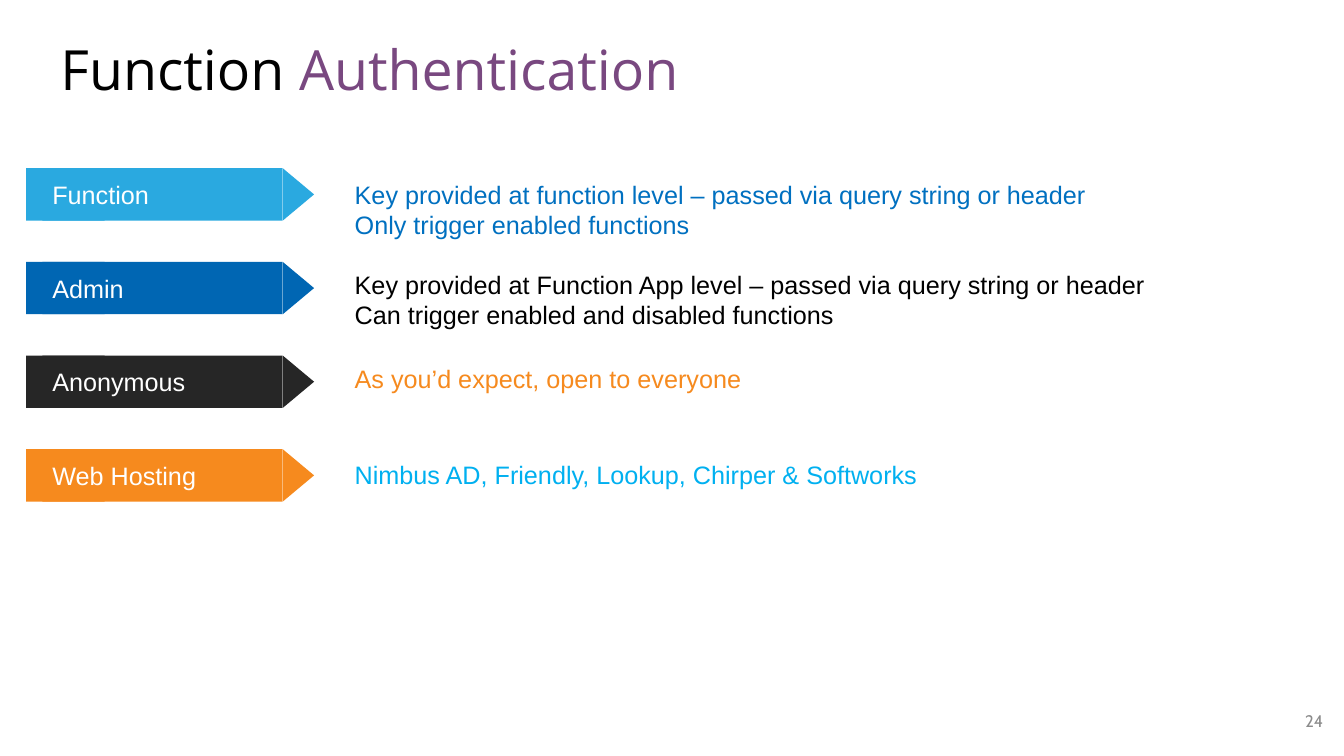
import pptx
import pptx.dml.color
import pptx.enum.shapes
import pptx.enum.text
import pptx.util

Cm = pptx.util.Cm
Shapes = pptx.enum.shapes.MSO_SHAPE
Align = pptx.enum.text.PP_ALIGN
Anchor = pptx.enum.text.MSO_ANCHOR
AutoSize = pptx.enum.text.MSO_AUTO_SIZE

COLORS = {
    "black": "000000",
    "white": "FFFFFF",
    "purple": "794880",
    "sky": "2AA9E0",
    "blue": "0066B3",
    "charcoal": "262626",
    "orange": "F68A1E",
    "text_blue": "0070C0",
    "text_cyan": "00B0F0",
    "gray": "8C8C8C",
}

LEVELS = [
    ("Function", "sky", "text_blue", 4.39, 20.32,
     ["Key provided at function level – passed via query string or header",
      "Only trigger enabled functions"]),
    ("Admin", "blue", "black", 6.65, 20.62,
     ["Key provided at Function App level – passed via query string or header",
      "Can trigger enabled and disabled functions"]),
    ("Anonymous", "charcoal", "orange", 9.04, 20.32,
     ["As you’d expect, open to everyone"]),
    ("Web Hosting", "orange", "text_cyan", 11.46, 20.32,
     ["Nimbus AD, Friendly, Lookup, Chirper & Softworks"]),
]
FIRST_TAG_TOP = 4.24
TAG_PITCH = 2.36
TAG_HEIGHT = 1.32
TIP_LENGTH = 0.79


def rgb(name):
    return pptx.dml.color.RGBColor.from_string(COLORS[name])


def add_text(paragraph, text, size=18, font="Arial", color="black", align=Align.LEFT):
    paragraph.alignment = align
    run = paragraph.add_run()
    run.text = text
    run.font.size = pptx.util.Pt(size)
    run.font.name = font
    run.font.color.rgb = rgb(color)


class SlideBuilder:
    def __init__(self, presentation):
        self.slide = presentation.slides.add_slide(presentation.slide_layouts[5])

    def title(self, parts):
        title = self.slide.shapes.title
        title.left, title.top = Cm(1.27), Cm(0.94)
        title.width, title.height = Cm(27.51), Cm(1.8)
        frame = title.text_frame
        frame.auto_size = AutoSize.NONE
        frame.vertical_anchor = Anchor.MIDDLE
        paragraph = frame.paragraphs[0]
        paragraph.line_spacing = 0.9
        for text, color in parts:
            add_text(paragraph, text, size=39.6, font="Open Sans", color=color)

    def block(self, group, kind, left, top, width, height, color):
        shape = group.shapes.add_shape(kind, Cm(left), Cm(top), Cm(width), Cm(height))
        shape.shadow.inherit = False
        shape.fill.solid()
        shape.fill.fore_color.rgb = rgb(color)
        shape.line.fill.background()
        return shape

    def tag(self, label, top, color):
        group = self.slide.shapes.add_group_shape()
        self.block(group, Shapes.RECTANGLE, 0.66, top, 1.98, TAG_HEIGHT, color)
        body = self.block(group, Shapes.RECTANGLE, 1.07, top, 6.05, TAG_HEIGHT, color)
        frame = body.text_frame
        frame.vertical_anchor = Anchor.MIDDLE
        frame.margin_right = Cm(0.41)
        add_text(frame.paragraphs[0], label, color="white")
        tip_top = top + (TAG_HEIGHT - TIP_LENGTH) / 2
        tip = self.block(group, Shapes.ISOSCELES_TRIANGLE, 6.86, tip_top,
                         TAG_HEIGHT, TIP_LENGTH, color)
        tip.rotation = 90

    def text_box(self, lines, left, top, width, height, anchor=Anchor.TOP,
                 auto_size=AutoSize.SHAPE_TO_FIT_TEXT, **text_format):
        shape = self.slide.shapes.add_textbox(Cm(left), Cm(top), Cm(width), Cm(height))
        frame = shape.text_frame
        frame.word_wrap = True
        frame.auto_size = auto_size
        frame.vertical_anchor = anchor
        for index, line in enumerate(lines):
            paragraph = frame.add_paragraph() if index else frame.paragraphs[0]
            add_text(paragraph, line, **text_format)


def main():
    presentation = pptx.Presentation()
    presentation.slide_width = Cm(33.87)
    presentation.slide_height = Cm(19.05)
    builder = SlideBuilder(presentation)
    builder.title([("Function ", "black"), ("Authentication", "purple")])
    for row, (label, tag_color, text_color, text_top, width, lines) in enumerate(LEVELS):
        builder.tag(label, FIRST_TAG_TOP + row * TAG_PITCH, tag_color)
        height = 0.25 + 0.77 * len(lines)
        builder.text_box(lines, 8.69, text_top, width, height, color=text_color)
    builder.text_box(["24"], 25.98, 17.65, 7.62, 1.02, anchor=Anchor.MIDDLE,
                     auto_size=AutoSize.NONE, size=12, font="Cabin",
                     color="gray", align=Align.RIGHT)
    presentation.save("out.pptx")


if __name__ == "__main__":
    main()
